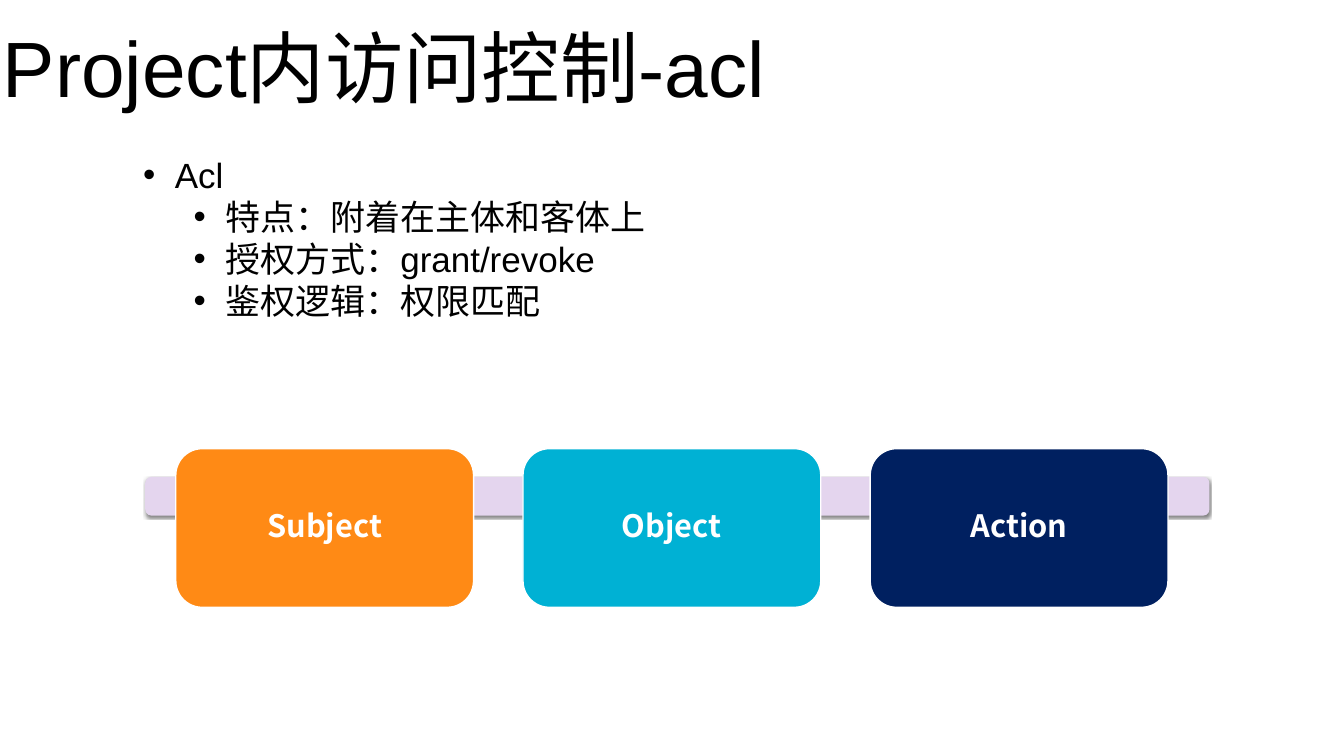
"""Build the slide on access control inside a project with ACLs."""
from lxml.etree import SubElement
from pptx import Presentation
from pptx.dml.color import RGBColor
from pptx.enum.shapes import MSO_SHAPE
from pptx.enum.text import MSO_ANCHOR, PP_ALIGN
from pptx.oxml.ns import qn
from pptx.util import Cm, Pt

BLACK = RGBColor(0x00, 0x00, 0x00)
WHITE = RGBColor(0xFF, 0xFF, 0xFF)
LILAC = RGBColor(0xE4, 0xD5, 0xEE)
ORANGE = RGBColor(0xFF, 0x8A, 0x15)
CYAN = RGBColor(0x00, 0xB1, 0xD4)
NAVY = RGBColor(0x00, 0x20, 0x60)
CJK = "Noto Sans CJK SC"


def write(p, text, size=50, font="Arial", color=BLACK, bold=False, bullet_at=None, level=0):
    p.level = level
    if bullet_at is not None:
        pPr = p._p.get_or_add_pPr()
        pPr.set("marL", str(bullet_at))
        pPr.set("indent", str(-Cm(1.59)))
        SubElement(pPr, qn("a:buFont"), typeface="Arial")
        SubElement(pPr, qn("a:buChar"), char="•")
    r = p.add_run()
    r.text = text
    r.font.size = Pt(size)
    r.font.bold = bold
    r.font.name = font
    r.font.color.rgb = color
    SubElement(r._r.get_or_add_rPr(), qn("a:ea"), typeface=CJK)


def set_margins(tf, x, y):
    tf.word_wrap = True
    tf.margin_left = tf.margin_right = Cm(x)
    tf.margin_top = tf.margin_bottom = Cm(y)


prs = Presentation()
prs.slide_width, prs.slide_height = Cm(67.74), Cm(38.1)
s = prs.slides.add_slide(prs.slide_layouts[6])

tf = s.shapes.add_textbox(Cm(0), Cm(0.15), Cm(58.34), Cm(6.35)).text_frame
set_margins(tf, 0.15, 0.15)
tf.vertical_anchor = MSO_ANCHOR.MIDDLE
write(tf.paragraphs[0], "Project内访问控制-acl", size=112)

tf = s.shapes.add_textbox(Cm(6.71), Cm(7.49), Cm(44.4), Cm(13.34)).text_frame
set_margins(tf, 0.51, 0.25)
write(tf.paragraphs[0], "Acl", bullet_at=Cm(1.59))
for text in ("特点：附着在主体和客体上", "授权方式：grant/revoke", "鉴权逻辑：权限匹配"):
    write(tf.add_paragraph(), text, bullet_at=Cm(4.13), level=1)

bar = s.shapes.add_shape(MSO_SHAPE.ROUNDED_RECTANGLE, Cm(7.32), Cm(24.03), Cm(53.64), Cm(1.96))
bar.fill.solid()
bar.fill.fore_color.rgb = LILAC
bar.line.fill.background()
bar.shadow.inherit = False
effects = bar._element.spPr.find(qn("a:effectLst"))
shadow = SubElement(effects, qn("a:outerShdw"), blurRad=str(Pt(3)), dist=str(Pt(2)),
                    dir="5400000", rotWithShape="0")
color = SubElement(shadow, qn("a:srgbClr"), val=str(BLACK))
SubElement(color, qn("a:alpha"), val="50000")

for i, (text, fill) in enumerate((("Subject", ORANGE), ("Object", CYAN), ("Action", NAVY))):
    sp = s.shapes.add_shape(MSO_SHAPE.ROUNDED_RECTANGLE,
                            Cm(8.86 + 17.5 * i), Cm(22.61), Cm(15.01), Cm(8))
    sp.fill.solid()
    sp.fill.fore_color.rgb = fill
    sp.line.color.rgb = WHITE
    sp.line.width = Pt(2)
    sp.shadow.inherit = False
    tf = sp.text_frame
    set_margins(tf, 0.46, 0.46)
    tf.vertical_anchor = MSO_ANCHOR.MIDDLE
    p = tf.paragraphs[0]
    p.alignment = PP_ALIGN.CENTER
    p.line_spacing = 0.9
    write(p, text, size=44, font=CJK, color=WHITE, bold=True)

prs.save("out.pptx")
